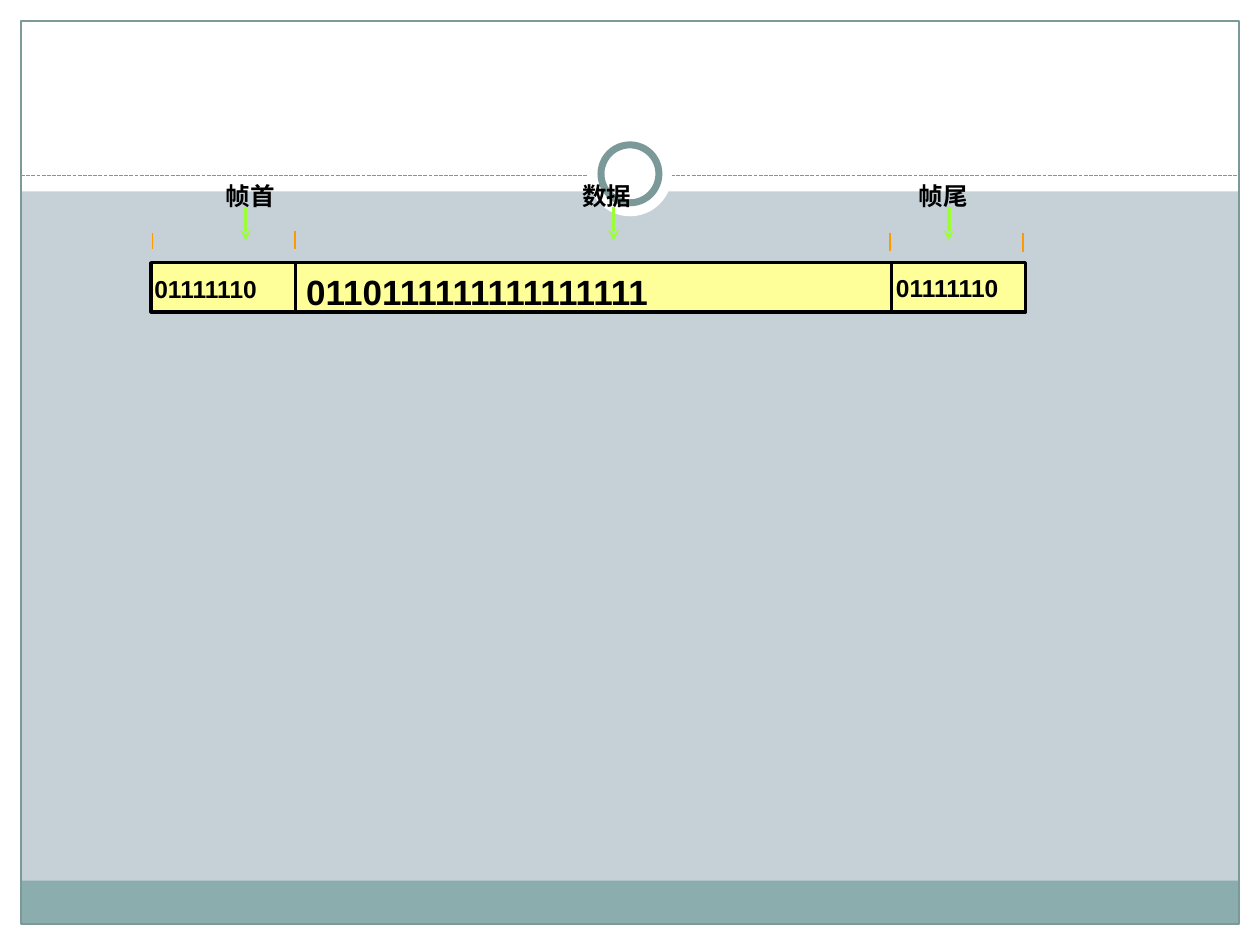
from dataclasses import dataclass

from lxml.etree import SubElement
from pptx import Presentation
from pptx.dml.color import RGBColor
from pptx.enum.dml import MSO_LINE
from pptx.enum.shapes import MSO_CONNECTOR, MSO_SHAPE
from pptx.enum.text import MSO_AUTO_SIZE
from pptx.oxml.ns import qn
from pptx.util import Inches, Pt

COLUMNS, ROWS = 100, 75
SLIDE_WIDTH, SLIDE_HEIGHT = Inches(10), Inches(7.5)

WHITE = RGBColor(0xFF, 0xFF, 0xFF)
BLACK = RGBColor(0x00, 0x00, 0x00)
BACKGROUND = RGBColor(0xC5, 0xD1, 0xD7)
BAND = RGBColor(0x8C, 0xAD, 0xAE)
BORDER = RGBColor(0x7C, 0x99, 0x9A)
YELLOW = RGBColor(0xFF, 0xFF, 0x99)
GREEN = RGBColor(0x99, 0xFF, 0x33)
ORANGE = RGBColor(0xFF, 0x99, 0x00)

MARGIN = 1.67
LABEL_TOP, LABEL_HEIGHT = 13.95, 3.2
ARROW_TOP, ARROW_BOTTOM = 16.4, 19.1
FRAME_TOP, FRAME_HEIGHT = 20.85, 3.9


@dataclass(frozen=True)
class Area:
    """A place on the slide grid, in columns and rows."""
    left: float
    top: float
    width: float
    height: float


@dataclass(frozen=True)
class Stroke:
    color: RGBColor
    points: float


@dataclass(frozen=True)
class Field:
    """One field of the frame: its label, the arrow below it and its bits."""
    label: str
    label_left: float
    label_width: float
    arrow: float
    bits: str
    bits_area: Area
    bits_size: int


@dataclass(frozen=True)
class Tick:
    column: float
    top: float
    bottom: float


FIELDS = (
    Field("帧首", 17, 6.2, 19.5,
          "01111110", Area(11.35, 21.35, 10.5, 3.2), 14),
    Field("数据", 45.3, 6.5, 48.7,
          "0110111111111111111", Area(23.4, 21.05, 46.2, 4.2), 20),
    Field("帧尾", 72, 7.5, 75.3,
          "01111110", Area(70.2, 21.3, 10.5, 3.2), 14),
)
TICKS = (Tick(12.1, 18.5, 19.8), Tick(23.4, 18.3, 19.8),
         Tick(70.65, 18.5, 19.9), Tick(81.2, 18.5, 20))
DIVIDERS = (23.45, 70.75)


def across(columns: float) -> int:
    return round(SLIDE_WIDTH * columns / COLUMNS)


def down(rows: float) -> int:
    return round(SLIDE_HEIGHT * rows / ROWS)


def place(area: Area) -> tuple[int, int, int, int]:
    return across(area.left), down(area.top), across(area.width), down(area.height)


def add_figure(page, area: Area, fill: RGBColor | None = None,
               stroke: Stroke | None = None, kind=MSO_SHAPE.RECTANGLE) -> None:
    figure = page.shapes.add_shape(kind, *place(area))
    figure.shadow.inherit = False
    if fill is None:
        figure.fill.background()
    else:
        figure.fill.solid()
        figure.fill.fore_color.rgb = fill
    if stroke is None:
        figure.line.fill.background()
    else:
        figure.line.color.rgb = stroke.color
        figure.line.width = Pt(stroke.points)


def add_line(page, start: tuple[float, float], end: tuple[float, float],
             stroke: Stroke, dash=None, arrow: bool = False) -> None:
    line = page.shapes.add_connector(
        MSO_CONNECTOR.STRAIGHT, across(start[0]), down(start[1]),
        across(end[0]), down(end[1]))
    line.line.color.rgb = stroke.color
    line.line.width = Pt(stroke.points)
    if dash is not None:
        line.line.dash_style = dash
    if arrow:
        SubElement(line.line._get_or_add_ln(), qn("a:tailEnd"), type="stealth")
    SubElement(line._element.spPr, qn("a:effectLst"))


def add_text(page, area: Area, text: str, size: int) -> None:
    box = page.shapes.add_textbox(*place(area))
    frame = box.text_frame
    frame.word_wrap = True
    frame.auto_size = MSO_AUTO_SIZE.SHAPE_TO_FIT_TEXT
    frame.margin_left = frame.margin_right = across(0.9)
    frame.margin_top = frame.margin_bottom = down(0.4)
    span = frame.paragraphs[0].add_run()
    span.text = text
    span.font.name = "Arial"
    span.font.size = Pt(size)
    span.font.bold = True
    span.font.color.rgb = BLACK


def draw_backdrop(page) -> None:
    page.background.fill.solid()
    page.background.fill.fore_color.rgb = BACKGROUND
    inner_width = COLUMNS - 2 * MARGIN
    for area in (Area(0, ROWS - MARGIN, COLUMNS, MARGIN),
                 Area(0, 0, COLUMNS, 15.2),
                 Area(0, 0, MARGIN, ROWS),
                 Area(COLUMNS - MARGIN, 0, MARGIN, ROWS)):
        add_figure(page, area, WHITE)
    add_figure(page, Area(MARGIN, 69.9, inner_width, 3.4), BAND)
    add_figure(page, Area(MARGIN, MARGIN, inner_width, ROWS - 2 * MARGIN),
               stroke=Stroke(BORDER, 0.75))
    add_line(page, (MARGIN, 13.95), (COLUMNS - MARGIN, 13.95),
             Stroke(BORDER, 0.75), dash=MSO_LINE.SQUARE_DOT)
    add_figure(page, Area(46.67, 10.5, 6.67, 6.67), WHITE, kind=MSO_SHAPE.OVAL)
    add_figure(page, Area(47.7, 11.5, 4.6, 4.6), WHITE, Stroke(BORDER, 4),
               MSO_SHAPE.OVAL)


def draw_frame(page) -> None:
    outline = Stroke(BLACK, 2)
    add_figure(page, Area(12, FRAME_TOP, 69.4, FRAME_HEIGHT), YELLOW, outline)
    for column in DIVIDERS:
        add_line(page, (column, FRAME_TOP), (column, FRAME_TOP + FRAME_HEIGHT), outline)
    for tick in TICKS:
        add_line(page, (tick.column, tick.top), (tick.column, tick.bottom),
                 Stroke(ORANGE, 1))
    for field in FIELDS:
        add_text(page, Area(field.label_left, LABEL_TOP, field.label_width, LABEL_HEIGHT),
                 field.label, 14)
        add_line(page, (field.arrow, ARROW_TOP), (field.arrow, ARROW_BOTTOM),
                 Stroke(GREEN, 2), arrow=True)
        add_text(page, field.bits_area, field.bits, field.bits_size)


def main() -> None:
    deck = Presentation()
    deck.slide_width, deck.slide_height = SLIDE_WIDTH, SLIDE_HEIGHT
    page = deck.slides.add_slide(deck.slide_layouts[6])
    draw_backdrop(page)
    draw_frame(page)
    deck.save("out.pptx")


if __name__ == "__main__":
    main()
